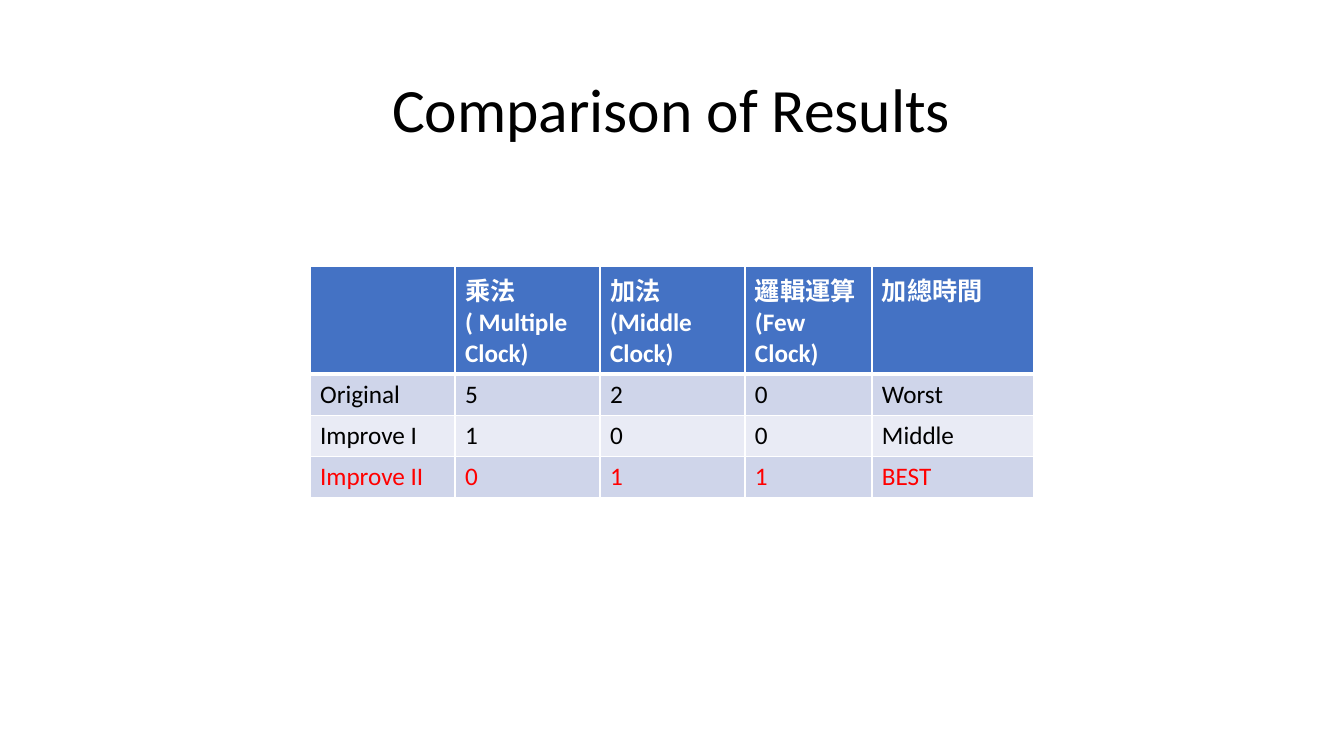
from lxml.etree import SubElement
from pptx import Presentation
from pptx.dml.color import RGBColor
from pptx.enum.text import MSO_ANCHOR, PP_ALIGN
from pptx.oxml.ns import qn
from pptx.util import Emu, Pt

WHITE = RGBColor(0xFF, 0xFF, 0xFF)
BLACK = RGBColor(0, 0, 0)
RED = RGBColor(0xFF, 0, 0)
BLUE = RGBColor(0x44, 0x72, 0xC4)
BANDS = (RGBColor(0xE9, 0xEB, 0xF5), RGBColor(0xCF, 0xD5, 0xEA))

HEADS = ("", "乘法( Multiple Clock)", "加法(Middle Clock)",
         "邏輯運算(Few Clock)", "加總時間")
RESULTS = (
    ("Original", "5", "2", "0", "Worst"),
    ("Improve I", "1", "0", "0", "Middle"),
    ("Improve II", "0", "1", "1", "BEST"),
)


def px(count):
    return Emu(round(count * 914400 / 100.8))


class Page:
    font = "Calibri"
    head = 44
    body = 18

    def __init__(self, deck):
        self.slide = deck.slides.add_slide(deck.slide_layouts[5])

    def label(self, para, text, size, color, bold=False):
        run = para.add_run()
        run.text = text
        run.font.name = self.font
        run.font.size = Pt(size)
        run.font.bold = bold
        run.font.color.rgb = color

    def title(self, text, left, top, width, height):
        shape = self.slide.shapes.title
        shape.left, shape.top = px(left), px(top)
        shape.width, shape.height = px(width), px(height)
        frame = shape.text_frame
        frame.word_wrap = True
        frame.vertical_anchor = MSO_ANCHOR.MIDDLE
        para = frame.paragraphs[0]
        para.alignment = PP_ALIGN.CENTER
        para.line_spacing = 0.9
        self.label(para, text, self.head, BLACK)

    def border(self, cell, sides):
        props = cell._tc.get_or_add_tcPr()
        for place, (side, width) in enumerate(sides.items()):
            line = SubElement(props, qn(f"a:ln{side}"), w=str(Pt(width)))
            fill = SubElement(line, qn("a:solidFill"))
            SubElement(fill, qn("a:srgbClr"), val=str(WHITE))
            props.insert(place, line)

    def cell(self, cell, text, row, last):
        cell.fill.solid()
        cell.fill.fore_color.rgb = BANDS[row % 2] if row else BLUE
        color = WHITE if row == 0 else RED if row == last else BLACK
        if text:
            self.label(cell.text_frame.paragraphs[0], text, self.body,
                       color, row == 0)
        self.border(cell, {"L": 1, "R": 1, "T": 3 if row == 1 else 1,
                           "B": 1 if row else 3})

    def table(self, rows, left, top, widths, heights):
        table = self.slide.shapes.add_table(
            len(rows), len(widths), px(left), px(top),
            px(sum(widths)), px(sum(heights))).table
        for column, width in zip(table.columns, widths):
            column.width = px(width)
        for row, (texts, height) in enumerate(zip(rows, heights)):
            table.rows[row].height = px(height)
            for col, text in enumerate(texts):
                self.cell(table.cell(row, col), text, row, len(rows) - 1)


def main():
    deck = Presentation()
    deck.slide_width, deck.slide_height = px(1344), px(756)
    page = Page(deck)
    page.title("Comparison of Results", 92, 40, 1159, 146)
    page.table((HEADS, *RESULTS), 310, 266,
               (145, 145, 145, 127, 162), (108, 41, 41, 41))
    deck.save("out.pptx")


if __name__ == "__main__":
    main()
